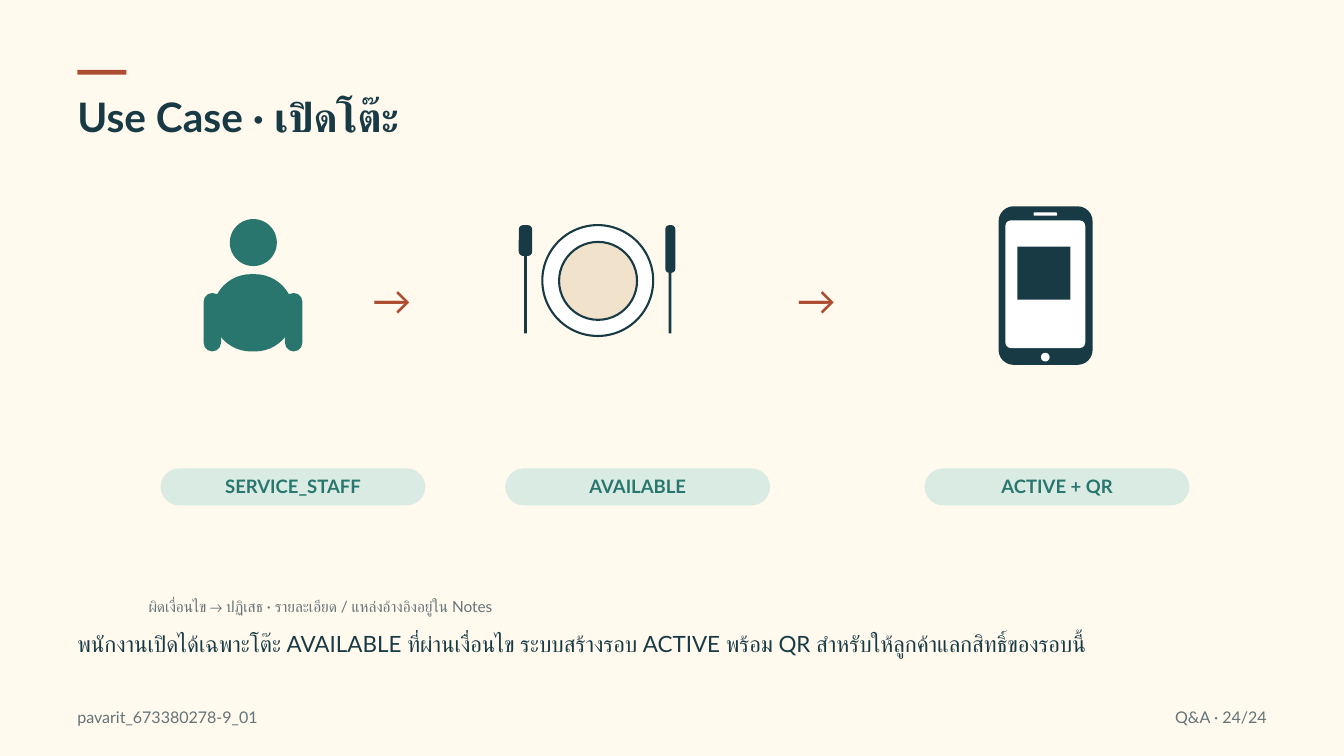
from pptx import Presentation
from pptx.dml.color import RGBColor
from pptx.enum.shapes import MSO_SHAPE
from pptx.enum.text import MSO_ANCHOR, MSO_AUTO_SIZE, PP_ALIGN
from pptx.util import Inches, Pt

CREAM = RGBColor(0xFF, 0xF9, 0xEE)
RUST = RGBColor(0xAC, 0x4D, 0x31)
NAVY = RGBColor(0x17, 0x3A, 0x45)
TEAL = RGBColor(0x28, 0x76, 0x6D)
MINT = RGBColor(0xDA, 0xEB, 0xE4)
SAND = RGBColor(0xF1, 0xE3, 0xCB)
GREY = RGBColor(0x64, 0x74, 0x77)
WHITE = RGBColor(0xFF, 0xFF, 0xFF)
FONT = "Lato"

RECT, ROUND, OVAL = MSO_SHAPE.RECTANGLE, MSO_SHAPE.ROUNDED_RECTANGLE, MSO_SHAPE.OVAL
LEFT, CENTER, RIGHT = PP_ALIGN.LEFT, PP_ALIGN.CENTER, PP_ALIGN.RIGHT

# Content
TITLE = "Use Case · เปิดโต๊ะ"
STEPS = [("SERVICE_STAFF", 2.39), ("AVAILABLE", 7.52), ("ACTIVE + QR", 13.76)]
ARROW_LEFTS = [5.05, 11.37]
# text, box, size, line spacing, colour, alignment
NOTES = [
    ("ผิดเงื่อนไข → ปฏิเสธ · รายละเอียด / แหล่งอ้างอิงอยู่ใน Notes",
     (2.21, 8.86, 15.58, 0.34), 16.5, 22.1, GREY, LEFT),
    ("พนักงานเปิดได้เฉพาะโต๊ะ AVAILABLE ที่ผ่านเงื่อนไข ระบบสร้างรอบ ACTIVE "
     "พร้อม QR สำหรับให้ลูกค้าแลกสิทธิ์ของรอบนี้",
     (1.15, 9.33, 17.71, 0.93), 24, 32.2, NAVY, LEFT),
    ("pavarit_673380278-9_01", (1.15, 10.5, 13.02, 0.34), 17.2, 23.1, GREY, LEFT),
    ("Q&A · 24/24", (15.31, 10.5, 3.54, 0.34), 17.2, 23.1, GREY, RIGHT),
]

# Icon parts: shape, box, fill, corner ratio
STAFF = [
    (OVAL, (3.42, 3.26, 0.7, 0.7), TEAL, None),
    (ROUND, (3.16, 4.08, 1.21, 1.15), TEAL, 0.5),
    (ROUND, (3.03, 4.36, 0.26, 0.87), TEAL, 0.5),
    (ROUND, (4.24, 4.36, 0.26, 0.87), TEAL, 0.5),
]
PLATE = [
    (OVAL, (8.07, 3.35, 1.65, 1.65), WHITE, None),
    (OVAL, (8.32, 3.6, 1.16, 1.16), SAND, None),
]
CUTLERY = [
    (RECT, (7.8, 3.39, 0.04, 1.57), NAVY, None),
    (RECT, (9.95, 3.39, 0.04, 1.57), NAVY, None),
    (ROUND, (7.72, 3.35, 0.2, 0.46), NAVY, 0.33),
    (ROUND, (9.9, 3.35, 0.15, 0.71), NAVY, 0.4),
]
PHONE = [
    (ROUND, (14.86, 3.07, 1.4, 2.36), NAVY, 0.16),
    (ROUND, (14.96, 3.28, 1.19, 1.9), WHITE, 0.07),
    (ROUND, (15.38, 3.16, 0.35, 0.05), WHITE, 0.33),
    (OVAL, (15.49, 5.25, 0.13, 0.13), WHITE, None),
    (RECT, (15.14, 3.67, 0.79, 0.79), NAVY, None),
]


def add_part(slide, kind, box, fill, corner=None, outline=None):
    sp = slide.shapes.add_shape(kind, *map(Inches, box))
    sp.shadow.inherit = False
    sp.fill.solid()
    sp.fill.fore_color.rgb = fill
    if corner is not None:
        sp.adjustments[0] = corner
    if outline is None:
        sp.line.fill.background()
    else:
        sp.line.color.rgb = outline
        sp.line.width = Pt(2.25)


def write(sp, text, size, spacing, color, align=LEFT, bold=False):
    tf = sp.text_frame
    tf.word_wrap = True
    tf.auto_size = MSO_AUTO_SIZE.NONE
    tf.vertical_anchor = MSO_ANCHOR.TOP
    tf.margin_left = tf.margin_right = tf.margin_top = tf.margin_bottom = 0
    p = tf.paragraphs[0]
    p.text = text
    p.alignment = align
    p.line_spacing = Pt(spacing)
    p.font.name = FONT
    p.font.size = Pt(size)
    p.font.bold = bold
    p.font.color.rgb = color


def add_text(slide, text, box, *style, **options):
    write(slide.shapes.add_textbox(*map(Inches, box)), text, *style, **options)


def main():
    prs = Presentation()
    prs.slide_width, prs.slide_height = Inches(20), Inches(11.25)
    s = prs.slides.add_slide(prs.slide_layouts[5])
    s.background.fill.solid()
    s.background.fill.fore_color.rgb = CREAM

    # Title with accent bar
    add_part(s, RECT, (1.15, 1.04, 0.73, 0.07), RUST)
    title = s.shapes.title
    title.left, title.top, title.width, title.height = map(Inches, (1.15, 1.29, 17.81, 0.87))
    write(title, TITLE, 43.5, 58.3, NAVY, bold=True)

    # Icons
    for part in STAFF + CUTLERY + PHONE:
        add_part(s, *part)
    for part in PLATE:
        add_part(s, *part, outline=NAVY)

    # Arrows between the icons
    for left in ARROW_LEFTS:
        add_text(s, "→", (left, 4.02, 1.56, 0.85), 42.2, 56.6, RUST, CENTER)

    # Step labels
    for label, left in STEPS:
        add_part(s, ROUND, (left, 6.97, 3.94, 0.55), MINT, 0.5)
        add_text(s, label, (left + 0.11, 7.03, 3.72, 0.39), 19.8, 26.5, TEAL, CENTER, bold=True)

    # Explanation and footer
    for note in NOTES:
        add_text(s, *note)

    prs.save("out.pptx")


if __name__ == "__main__":
    main()
